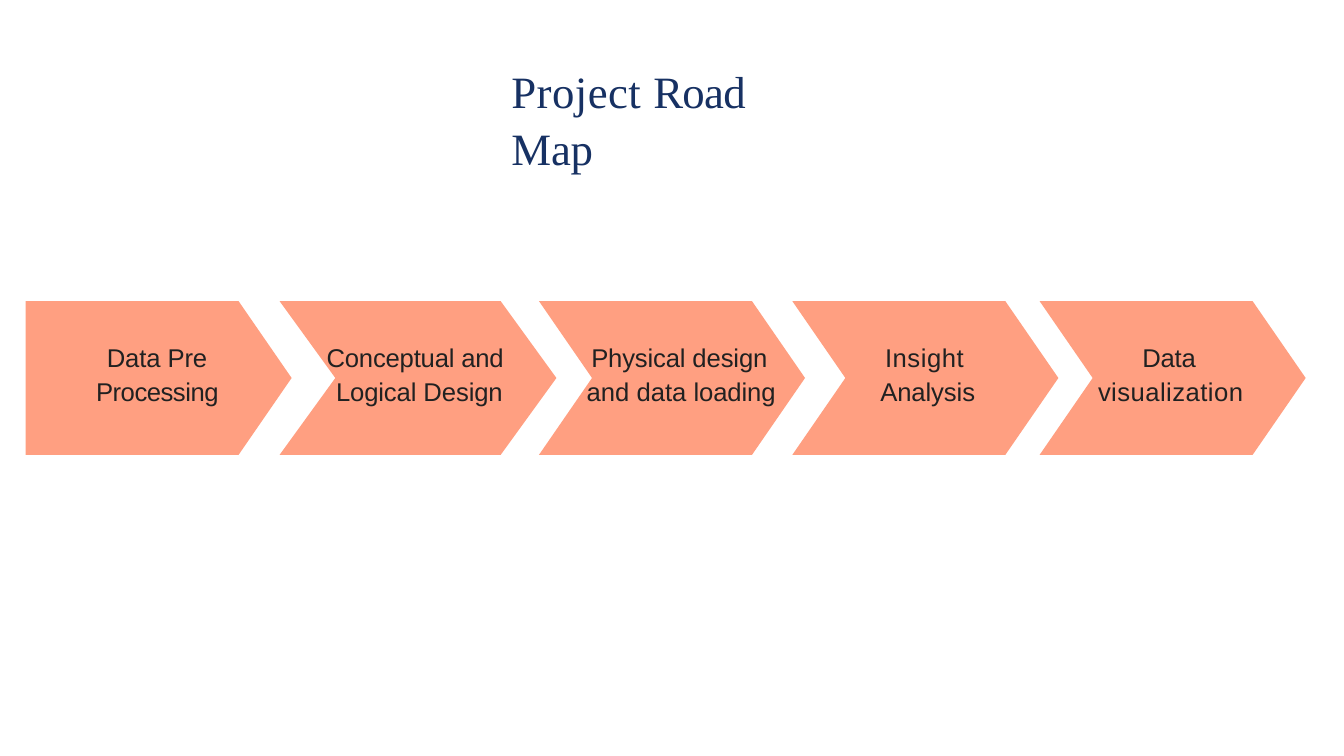
from pptx import Presentation
from pptx.dml import color
from pptx.enum import shapes, text
from pptx.util import Pt

SCALE = 9144
ARROW_TOP, ARROW_HEIGHT = 448, 229
LABEL_TOP, LABEL_HEIGHT = 504, 103

STEPS = [
    (38, 396, 79, 142, 187, 1, 16,
     [("Data ", -0.1), ("Pre ", -0.2), ("Processing", -0.5)]),
    (416, 412, 83, 484, 268, 16, -14,
     [("Conceptual and ", -0.2), ("Logical Design", -0.1)]),
    (802, 396, 79, 872, 290, 1, 7,
     [("Physical ", -0.2), ("design ", -0.1), ("and data ", 0), ("loading", -0.1)]),
    (1179, 396, 79, 1309, 145, 1, 7,
     [("Insight ", 0.6), ("Analysis", -0.1)]),
    (1547, 396, 79, 1633, 223, 1, 66,
     [("Data ", -0.2), ("visualization", 0.5)]),
]


def px(length):
    return length * SCALE


def rgb(value):
    return color.RGBColor.from_string(value)


class RoadMap:
    title_font, title_size, title_color = "Times New Roman", 48, "173163"
    label_font, label_size, label_color = "Arial", 27.5, "212121"
    arrow_color = "FF9F81"

    def __init__(self, presentation):
        self.slide = presentation.slides.add_slide(presentation.slide_layouts[5])

    def fill_text(self, shape, runs, font, size, ink, margin, indent, spacing):
        frame = shape.text_frame
        frame.word_wrap = True
        frame.auto_size = text.MSO_AUTO_SIZE.SHAPE_TO_FIT_TEXT
        frame.vertical_anchor = text.MSO_ANCHOR.TOP
        frame.margin_left = frame.margin_right = frame.margin_bottom = 0
        frame.margin_top = px(1)
        paragraph = frame.paragraphs[0]
        paragraph.alignment = text.PP_ALIGN.LEFT
        paragraph.line_spacing = spacing
        properties = paragraph._p.get_or_add_pPr()
        properties.set("marL", str(px(margin)))
        properties.set("indent", str(px(indent)))
        paragraph.font.name = font
        paragraph.font.size = Pt(size)
        paragraph.font.color.rgb = rgb(ink)
        for words, tracking in runs:
            run = paragraph.add_run()
            run.text = words
            run._r.get_or_add_rPr().set("spc", str(round(tracking * 100)))

    def title(self, left, top, width, height, runs):
        shape = self.slide.shapes.title
        shape.left, shape.top = px(left), px(top)
        shape.width, shape.height = px(width), px(height)
        self.fill_text(shape, runs, self.title_font, self.title_size,
                       self.title_color, 1, 0, 1.05)

    def arrow(self, kind, left, width, point):
        shape = self.slide.shapes.add_shape(
            kind, px(left), px(ARROW_TOP), px(width), px(ARROW_HEIGHT))
        shape.adjustments[0] = point / ARROW_HEIGHT
        shape.shadow.inherit = False
        shape.fill.solid()
        shape.fill.fore_color.rgb = rgb(self.arrow_color)
        shape.line.fill.background()

    def label(self, left, width, margin, indent, runs):
        shape = self.slide.shapes.add_textbox(
            px(left), px(LABEL_TOP), px(width), px(LABEL_HEIGHT))
        self.fill_text(shape, runs, self.label_font, self.label_size,
                       self.label_color, margin, indent, 1.09)


def main():
    presentation = Presentation()
    presentation.slide_width, presentation.slide_height = px(2000), px(1125)
    road_map = RoadMap(presentation)
    road_map.title(760, 90, 480, 83,
                   [("Project ", 0.5), ("Road ", -0.7), ("Map", -0.2)])
    kind = shapes.MSO_SHAPE.PENTAGON
    for left, width, point, label_left, label_width, margin, indent, runs in STEPS:
        road_map.arrow(kind, left, width, point)
        road_map.label(label_left, label_width, margin, indent, runs)
        kind = shapes.MSO_SHAPE.CHEVRON
    presentation.save("out.pptx")


if __name__ == "__main__":
    main()
